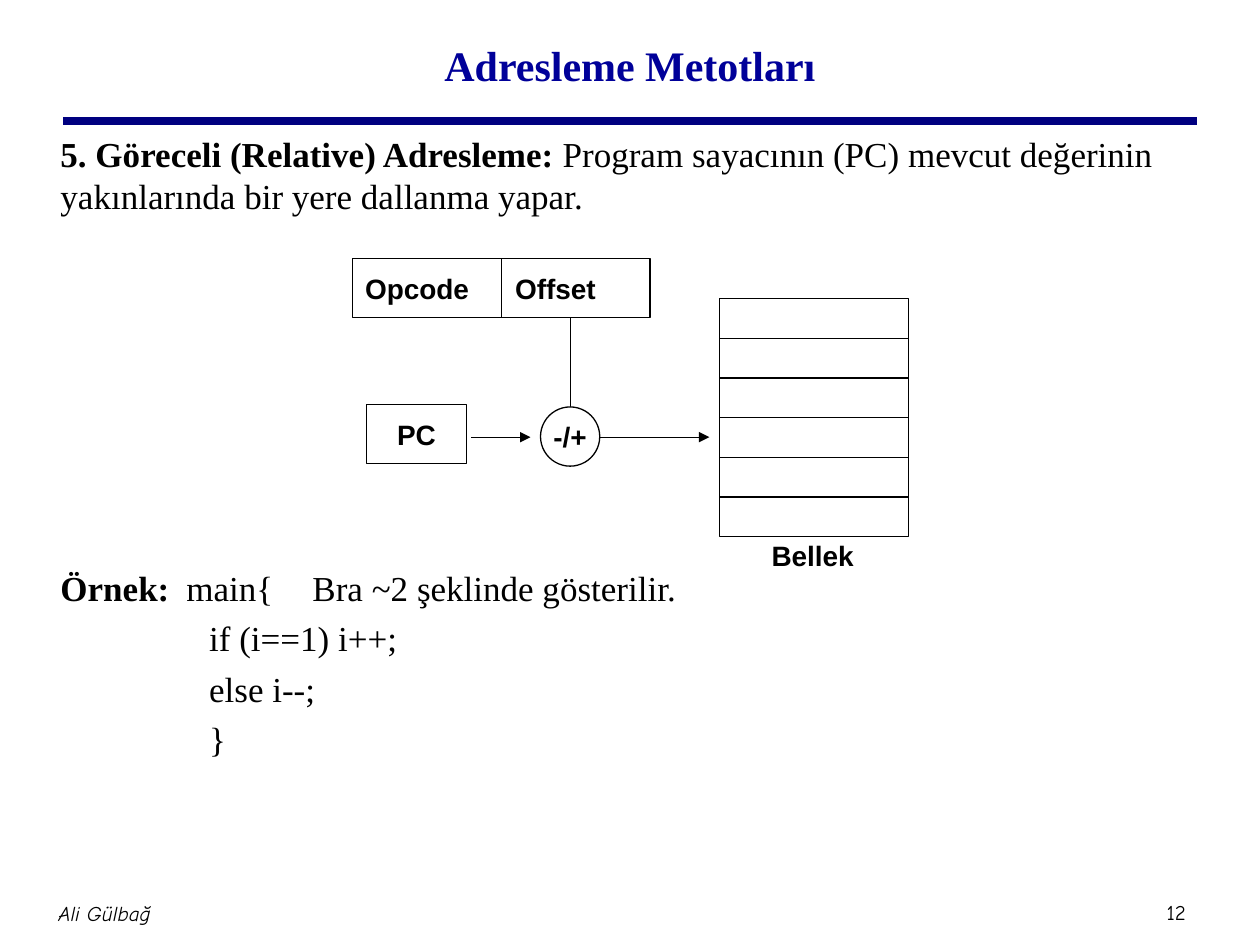
from pptx import Presentation
from pptx.dml.color import RGBColor
from pptx.enum.shapes import MSO_CONNECTOR, MSO_SHAPE
from pptx.enum.text import MSO_ANCHOR, MSO_AUTO_SIZE, PP_ALIGN
from pptx.oxml.ns import qn
from pptx.util import Inches, Pt
from lxml import etree

BLACK = RGBColor(0x00, 0x00, 0x00)
WHITE = RGBColor(0xFF, 0xFF, 0xFF)
NAVY = RGBColor(0x00, 0x00, 0x80)
BLUE = RGBColor(0x00, 0x00, 0x99)
RECT, OVAL = MSO_SHAPE.RECTANGLE, MSO_SHAPE.OVAL
LEFT, CENTER = PP_ALIGN.LEFT, PP_ALIGN.CENTER
SERIF, SANS, HAND = "Times New Roman", "Arial", "Comic Neue"
CELL_H = 0.47


def style(r, font, size, color=BLACK, bold=False, italic=False):
    f = r.font
    f.name, f.size, f.bold, f.italic = font, Pt(size), bold, italic
    f.color.rgb = color


def place(s, x, y, w, h):
    s.left, s.top, s.width, s.height = (Inches(v) for v in (x, y, w, h))


def set_paragraph(p, *parts, marL=0, before=4.8, tabs=()):
    """Fill a body paragraph with (text, bold) parts and no bullet."""
    pPr = p._p.get_or_add_pPr()
    pPr.set("marL", str(Inches(marL)))
    pPr.set("indent", "0")
    p.space_before = Pt(before)
    etree.SubElement(pPr, qn("a:buNone"))
    add_tabs(pPr, tabs)
    for text, bold in parts:
        r = p.add_run()
        r.text = text
        style(r, SERIF, 20, bold=bold)


def add_tabs(pPr, tabs):
    if tabs:
        tabLst = etree.SubElement(pPr, qn("a:tabLst"))
        for pos in tabs:
            etree.SubElement(tabLst, qn("a:tab"), pos=str(Inches(pos)), algn="l")


def add_line(slide, x1, y1, x2, y2, color=BLACK, width=0.75, arrow=False):
    c = slide.shapes.add_connector(
        MSO_CONNECTOR.STRAIGHT, *(Inches(v) for v in (x1, y1, x2, y2)))
    c.line.color.rgb = color
    c.line.width = Pt(width)
    if arrow:
        etree.SubElement(c.line._get_or_add_ln(), qn("a:tailEnd"), type="triangle")
    etree.SubElement(c._element.spPr, qn("a:effectLst"))


def add_label(slide, text, x, y, w, h, font=SANS, size=16, bold=True, italic=False):
    s = slide.shapes.add_textbox(*(Inches(v) for v in (x, y, w, h)))
    write(s.text_frame, text, CENTER, font, size, bold, italic)


def write(tf, text, align, font=SANS, size=16, bold=True, italic=False):
    tf.word_wrap = False
    tf.vertical_anchor = MSO_ANCHOR.MIDDLE
    tf.text = text
    p = tf.paragraphs[0]
    p.alignment = align
    style(p.runs[0], font, size, bold=bold, italic=italic)


def add_node(slide, kind, x, y, w, h, text="", align=CENTER):
    s = slide.shapes.add_shape(kind, *(Inches(v) for v in (x, y, w, h)))
    s.shadow.inherit = False
    s.fill.solid()
    s.fill.fore_color.rgb = WHITE
    s.line.color.rgb = BLACK
    s.line.width = Pt(0.75)
    if text:
        write(s.text_frame, text, align)
    return s


def frame(slide):
    """Rule under the title, author and page number."""
    add_line(slide, 0.5, 0.96, 9.5, 0.96, NAVY, 4.5)
    add_label(slide, "12", 9.1, 7.09, 0.47, 0.3, HAND, 12, bold=False)
    add_label(slide, "Ali Gülbağ", 0, 7, 1.66, 0.5, HAND, 12, bold=False, italic=True)


def heading(slide):
    s = slide.shapes.title
    place(s, 0.75, 0.08, 8.5, 0.86)
    tf = s.text_frame
    tf.text = "Adresleme Metotları"
    tf.auto_size = MSO_AUTO_SIZE.NONE
    tf.vertical_anchor = MSO_ANCHOR.MIDDLE
    tf.paragraphs[0].alignment = CENTER
    style(tf.paragraphs[0].runs[0], SERIF, 24, BLUE, bold=True)


def body(slide):
    s = slide.placeholders[1]
    place(s, 0.38, 1, 9.16, 5.55)
    tf = s.text_frame
    tf.auto_size = MSO_AUTO_SIZE.NONE
    set_paragraph(
        tf.paragraphs[0],
        ("5. Göreceli (Relative) Adresleme: ", True),
        ("Program sayacının (PC) mevcut değerinin yakınlarında "
         "bir yere dallanma yapar.", False))
    # The example starts below the diagram
    set_paragraph(
        tf.add_paragraph(), ("Örnek:", True),
        ("\tmain{\tBra ~2 şeklinde gösterilir.", False),
        before=200, tabs=(1.15, 2.38))
    for code in ("if (i==1) i++;", "else i--;", "}"):
        set_paragraph(tf.add_paragraph(), (code, False), marL=1.18)


def instruction(slide, x, y, w):
    """Instruction word split into two equal fields."""
    s = add_node(slide, RECT, x, y, w, CELL_H, "Opcode\tOffset", LEFT)
    s.text_frame.word_wrap = True
    add_tabs(s.text_frame.paragraphs[0]._p.get_or_add_pPr(), (w / 2 + 0.01,))
    add_line(slide, x + w / 2, y, x + w / 2, y + CELL_H)


def memory(slide, x, y, w, h, rows=6):
    """Memory block with equal rows and its caption."""
    add_node(slide, RECT, x, y, w, h)
    for i in range(1, rows):
        row_y = y + h * i / rows
        add_line(slide, x, row_y, x + w, row_y)
    add_label(slide, "Bellek", x + 0.3, y + h - 0.03, 0.88, 0.35)


def diagram(slide, x, y):
    """Relative addressing: PC and offset are combined into an address."""
    instruction(slide, x, y, 2.36)
    memory(slide, x + 2.91, y + 0.32, 1.5, 1.89)
    add_line(slide, x + 1.73, y + CELL_H, x + 1.73, y + 1.18)
    add_node(slide, RECT, x + 0.11, y + 1.16, 0.79, CELL_H, "PC")
    add_node(slide, OVAL, x + 1.49, y + 1.18, CELL_H, CELL_H, "-/+")
    for start, end in ((0.94, 1.41), (1.96, 2.83)):
        add_line(slide, x + start, y + 1.42, x + end, y + 1.42, arrow=True)


prs = Presentation()
prs.slide_width, prs.slide_height = Inches(10), Inches(7.5)
slide = prs.slides.add_slide(prs.slide_layouts[1])
frame(slide)
heading(slide)
body(slide)
diagram(slide, 2.8, 2.05)
prs.save("out.pptx")
